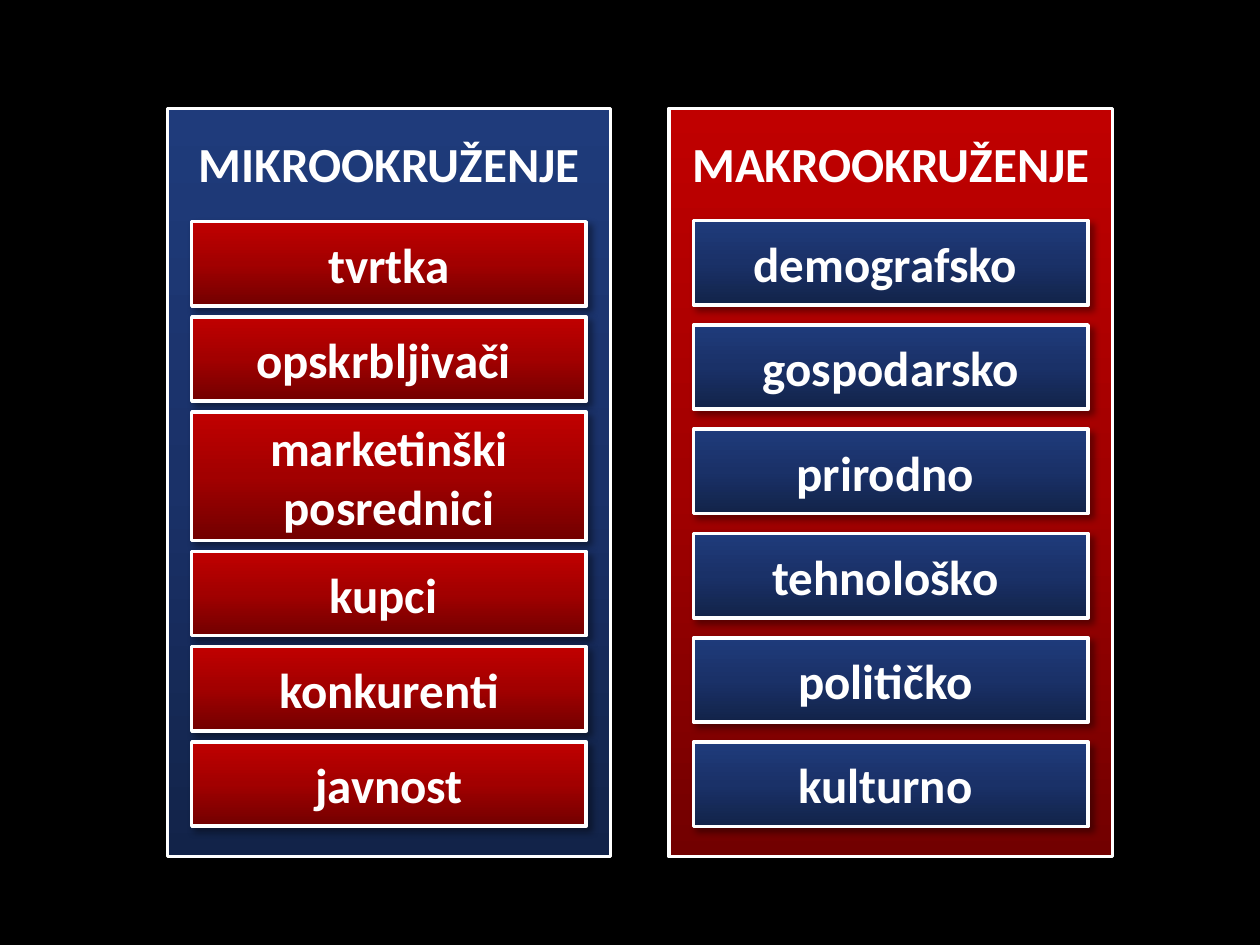
import copy
from dataclasses import dataclass

import lxml.etree
import pptx
import pptx.dml.color
import pptx.enum.shapes
import pptx.enum.text
import pptx.oxml.ns
import pptx.util

Pt = pptx.util.Pt
qn = pptx.oxml.ns.qn

FONT, FONT_SIZE = "Calibri", 28
WHITE, BLACK = "FFFFFF", "000000"
# Gradients run from bottom to top
RED = ("720000", "A20000", "C00000")
BLUE = ("122349", "1A3168", "1F3B7B")

PANEL_TOP, PANEL_WIDTH, PANEL_HEIGHT = 61.9, 253.4, 427.7
ITEM_INSET, ITEM_WIDTH, ITEM_HEIGHT = 14, 225.4, 48.2
TWO_LINE_HEIGHT = 73.4


@dataclass
class Item:
    label: str
    height: float = ITEM_HEIGHT


@dataclass
class Panel:
    heading: str
    left: float
    colours: tuple[str, ...]
    item_colours: tuple[str, ...]
    first_top: float
    gap: float
    items: list[Item]


PANELS = [
    Panel("MAKROOKRUŽENJE", 382.4, RED, BLUE, 126.1, 11.4, [
        Item("demografsko "), Item("gospodarsko"), Item("prirodno "),
        Item("tehnološko "), Item("političko "), Item("kulturno "),
    ]),
    Panel("MIKROOKRUŽENJE", 95.6, BLUE, RED, 126.7, 6.2, [
        Item("tvrtka"), Item("opskrbljivači "),
        Item("marketinški posrednici", TWO_LINE_HEIGHT),
        Item("kupci "), Item("konkurenti"), Item("javnost"),
    ]),
]


def colour(value: str) -> pptx.dml.color.RGBColor:
    return pptx.dml.color.RGBColor.from_string(value)


def fill_gradient(shape, colours: tuple[str, ...]) -> None:
    """Spread the colours evenly from the bottom edge to the top."""
    shape.fill.gradient()
    shape.fill.gradient_angle = 90
    stop_list = shape._element.spPr.find(".//" + qn("a:gsLst"))
    while len(stop_list) < len(colours):
        stop_list.append(copy.deepcopy(stop_list[0]))
    for index, (stop, value) in enumerate(zip(shape.fill.gradient_stops, colours)):
        stop.position = index / (len(colours) - 1)
        stop.color.rgb = colour(value)


def add_shadow(shape) -> None:
    shape.shadow.inherit = False
    effects = shape._element.spPr.find(qn("a:effectLst"))
    shadow = lxml.etree.SubElement(
        effects, qn("a:outerShdw"), blurRad=str(Pt(4)), dist=str(Pt(3)),
        dir=str(45 * 60000), algn="tl", rotWithShape="0")
    tint = lxml.etree.SubElement(shadow, qn("a:srgbClr"), val=BLACK)
    lxml.etree.SubElement(tint, qn("a:alpha"), val="40000")


def add_box(page, text: str, left: float, top: float, width: float,
            height: float, colours: tuple[str, ...]):
    box = page.shapes.add_shape(
        pptx.enum.shapes.MSO_SHAPE.RECTANGLE,
        Pt(left), Pt(top), Pt(width), Pt(height))
    fill_gradient(box, colours)
    box.line.color.rgb = colour(WHITE)
    box.line.width = Pt(2)
    add_shadow(box)

    frame = box.text_frame
    frame.text = text
    frame.word_wrap = True
    frame.vertical_anchor = pptx.enum.text.MSO_ANCHOR.MIDDLE
    para = frame.paragraphs[0]
    para.alignment = pptx.enum.text.PP_ALIGN.CENTER
    span = para.runs[0]
    span.font.name = FONT
    span.font.size = Pt(FONT_SIZE)
    span.font.bold = True
    span.font.color.rgb = colour(WHITE)
    return box


def add_panel(page, panel: Panel) -> None:
    # Panel with its heading at the top
    box = add_box(page, panel.heading, panel.left, PANEL_TOP,
                  PANEL_WIDTH, PANEL_HEIGHT, panel.colours)
    box.text_frame.vertical_anchor = pptx.enum.text.MSO_ANCHOR.TOP
    box.text_frame.margin_top = Pt(14.4)

    # Stack of items
    top = panel.first_top
    for item in panel.items:
        add_box(page, item.label, panel.left + ITEM_INSET, top,
                ITEM_WIDTH, item.height, panel.item_colours)
        top += item.height + panel.gap


def main() -> None:
    deck = pptx.Presentation()
    deck.slide_width, deck.slide_height = Pt(720), Pt(540)
    page = deck.slides.add_slide(deck.slide_layouts[6])
    page.background.fill.solid()
    page.background.fill.fore_color.rgb = colour(BLACK)
    for panel in PANELS:
        add_panel(page, panel)
    deck.save("out.pptx")


if __name__ == "__main__":
    main()
